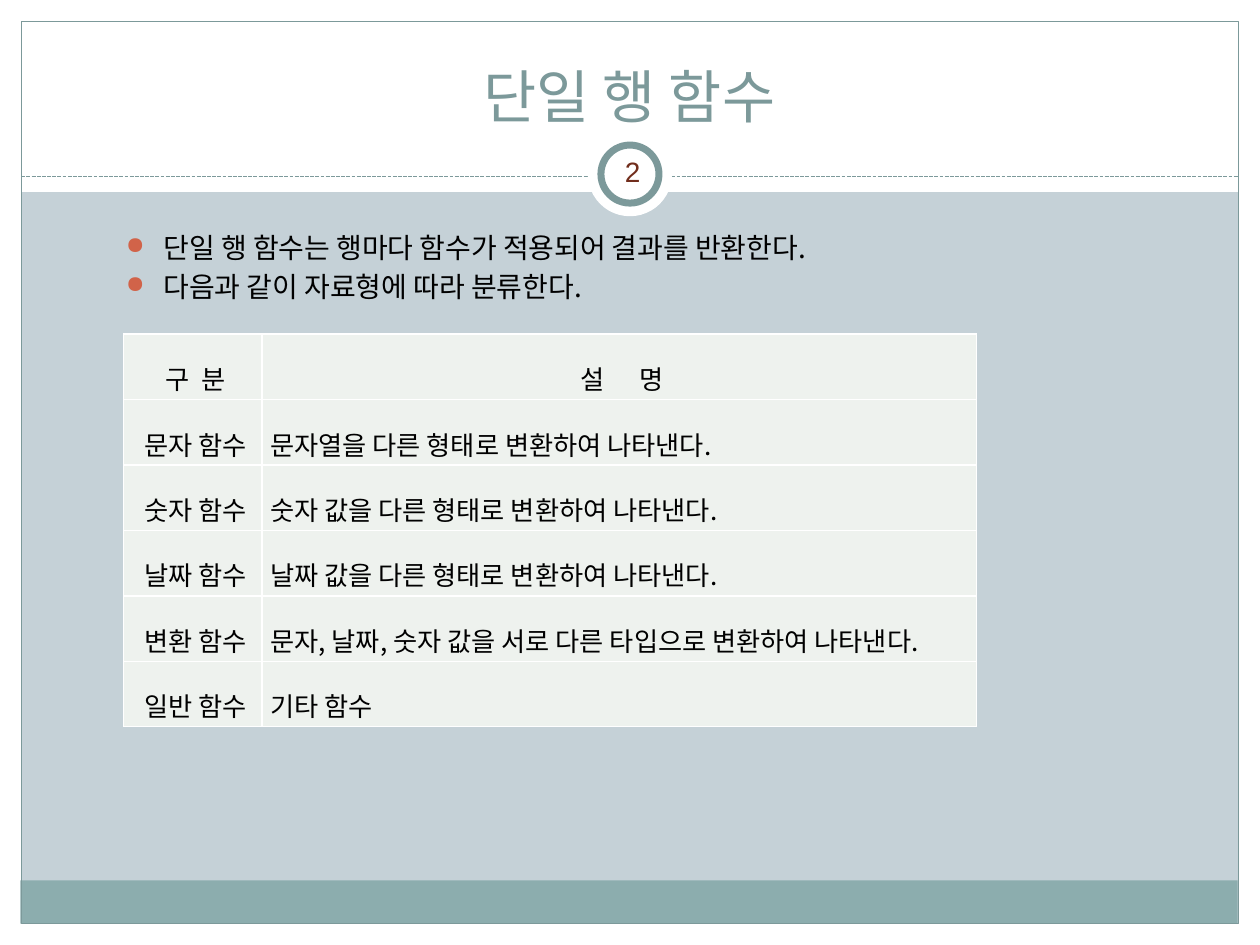
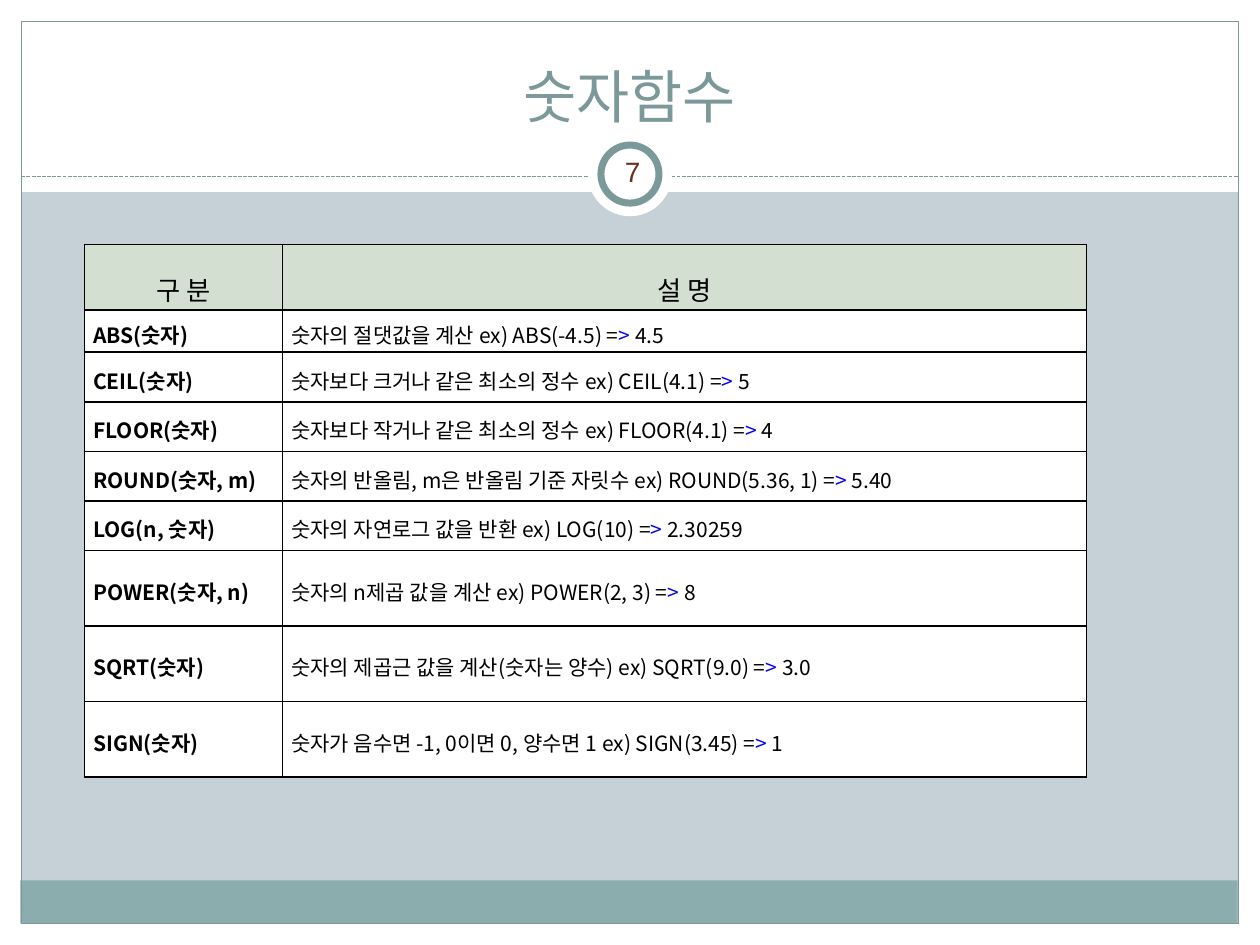
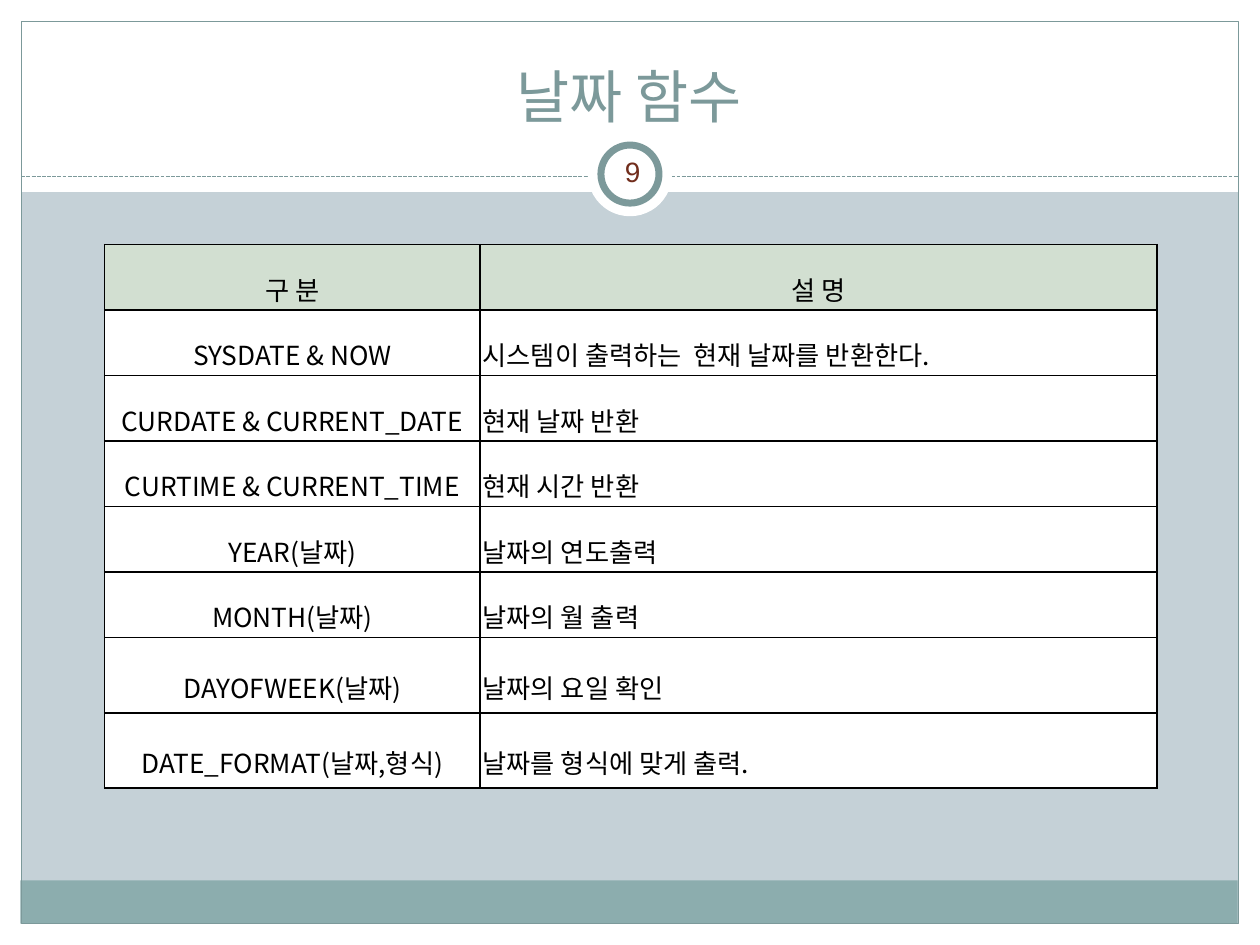
from dataclasses import dataclass, field
from typing import Any

from lxml.etree import SubElement
from pptx import Presentation
from pptx.dml.color import RGBColor
from pptx.enum.dml import MSO_LINE
from pptx.enum.shapes import MSO_CONNECTOR, MSO_SHAPE
from pptx.enum.text import MSO_ANCHOR, PP_ALIGN
from pptx.oxml.ns import qn
from pptx.util import Cm, Pt


@dataclass(frozen=True)
class Theme:
    """Colours, fonts and type sizes of the deck."""
    back: str = "C5D1D7"
    white: str = "FFFFFF"
    black: str = "000000"
    teal: str = "7C999A"
    footer: str = "8CADAE"
    number: str = "712D1C"
    bullet: str = "D16349"
    pale: str = "EEF2EE"
    header: str = "D2DFD1"
    arrow: str = "0000FF"
    title_font: str = "Calibri"
    number_font: str = "Arial"
    text_font: str = "Noto Sans CJK KR"
    title_size: float = 33
    text_size: float = 16
    cell_size: float = 15
    small_size: float = 12


T = Theme()
WIDTH, HEIGHT, MARGIN = 25.4, 19.05, 0.43
MIDDLE, RULE_Y, RING_Y = WIDTH / 2, 3.56, 3.51
TALL, ROOMY, MEDIUM, LOW = 1.32, 1.52, 1.0, 0.85


@dataclass(frozen=True)
class Run:
    """A piece of text; gap is extra letter spacing in points."""
    text: str
    color: str = T.black
    bold: bool = False
    gap: float = 0


@dataclass(frozen=True)
class CellStyle:
    """Look of one table cell; insets are left, top, right, bottom in cm."""
    fill: str = T.white
    align: PP_ALIGN = PP_ALIGN.JUSTIFY
    anchor: MSO_ANCHOR = MSO_ANCHOR.MIDDLE
    size: float = T.cell_size
    spacing: float = 1.6
    insets: tuple[float, ...] = (0.05, 0.05, 0.05, 0.05)


@dataclass(frozen=True)
class TableData:
    """A two-column table: header row first, then body rows."""
    left: float
    top: float
    cols: tuple[float, float]
    heights: list[float]
    rows: list[tuple[list[Run], list[Run]]]
    header: CellStyle
    body: tuple[CellStyle, CellStyle]
    border: str = T.black


@dataclass(frozen=True)
class Page:
    """Content of one slide."""
    number: int
    title: str
    table: TableData
    bullets: list[str] = field(default_factory=list)


def rgb(color: str) -> RGBColor:
    """Turn a hex string into a colour."""
    return RGBColor.from_string(color)


def apply(obj: Any, fmt: dict[str, Any]) -> None:
    """Set every attribute named in fmt on obj."""
    for name, value in fmt.items():
        setattr(obj, name, value)


def insets(values: tuple[float, ...]) -> dict[str, Any]:
    """Format values for left, top, right and bottom margins."""
    names = ("margin_left", "margin_top", "margin_right", "margin_bottom")
    return {n: Cm(v) for n, v in zip(names, values)}


def gapped(before: str, gap: float, after: str) -> list[Run]:
    """Two words whose separating space is widened by gap points."""
    return [Run(before), Run(" ", gap=gap), Run(after)]


def add_run(p: Any, run: Run, size: float, font: str = T.text_font) -> None:
    """Append a formatted run to a paragraph."""
    r = p.add_run()
    r.text = run.text
    apply(r.font, {"name": font, "size": Pt(size), "bold": run.bold})
    r.font.color.rgb = rgb(run.color)
    rPr = r.font._element
    if run.gap:
        rPr.set("spc", str(int(run.gap * 100)))
    SubElement(rPr, qn("a:ea")).set("typeface", T.text_font)


def add_box(slide: Any, kind: MSO_SHAPE, box: tuple[float, ...],
            fill: str = "", line: str = "", weight: float = 0.75) -> None:
    """Draw a preset shape with optional fill and line."""
    sp = slide.shapes.add_shape(kind, *map(Cm, box))
    sp.shadow.inherit = False
    if fill:
        sp.fill.solid()
        sp.fill.fore_color.rgb = rgb(fill)
    else:
        sp.fill.background()
    if line:
        sp.line.color.rgb = rgb(line)
        sp.line.width = Pt(weight)
    else:
        sp.line.fill.background()


def add_circle(slide: Any, size: float, line: str = "") -> None:
    """Draw a white circle around the ring centre."""
    box = (MIDDLE - size / 2, RING_Y - size / 2, size, size)
    add_box(slide, MSO_SHAPE.OVAL, box, T.white, line, 4)


def add_text(slide: Any, box: tuple[float, ...], **fmt: Any) -> Any:
    """Add a wrapping text box and return its text frame."""
    tf = slide.shapes.add_textbox(*map(Cm, box)).text_frame
    apply(tf, {"word_wrap": True, **fmt})
    return tf


def add_frame(slide: Any, page: Page) -> None:
    """Draw the background, bands, ring, page number and title."""
    slide.background.fill.solid()
    slide.background.fill.fore_color.rgb = rgb(T.back)
    inner = WIDTH - 2 * MARGIN
    for box, fill, line in (
        ((0, HEIGHT - MARGIN, WIDTH, MARGIN), T.white, ""),
        ((0, 0, WIDTH, 3.87), T.white, ""),
        ((0, 0, MARGIN, HEIGHT), T.white, ""),
        ((WIDTH - MARGIN, 0, MARGIN, HEIGHT), T.white, ""),
        ((0.41, 17.75, inner, 0.87), T.footer, ""),
        ((MARGIN, MARGIN, inner, HEIGHT - 2 * MARGIN), "", T.teal),
    ):
        add_box(slide, MSO_SHAPE.RECTANGLE, box, fill, line)
    ends = map(Cm, (MARGIN, RULE_Y, WIDTH - MARGIN, RULE_Y))
    rule = slide.shapes.add_connector(MSO_CONNECTOR.STRAIGHT, *ends)
    rule.line.color.rgb = rgb(T.teal)
    apply(rule.line, {"width": Pt(0.75), "dash_style": MSO_LINE.SQUARE_DOT})
    SubElement(rule._element.spPr, qn("a:effectLst"))
    add_circle(slide, 1.7)
    add_circle(slide, 1.17, T.teal)

    tf = add_text(slide, (12.12, 2.84, 1.27, 1.22),
                  vertical_anchor=MSO_ANCHOR.MIDDLE, **insets((0.13,) * 4))
    p = tf.paragraphs[0]
    p.alignment = PP_ALIGN.CENTER
    add_run(p, Run(str(page.number), T.number), T.text_size, T.number_font)

    tf = add_text(slide, (0.84, 0.64, 23.7, 2.11),
                  vertical_anchor=MSO_ANCHOR.BOTTOM)
    p = tf.paragraphs[0]
    p.alignment = PP_ALIGN.CENTER
    add_run(p, Run(page.title, T.teal), T.title_size, T.title_font)


def add_bullets(slide: Any, lines: list[str]) -> None:
    """Write the bulleted body text."""
    tf = add_text(slide, (2.29, 4.52, 20.83, 12.8))
    for i, line in enumerate(lines):
        p = tf.add_paragraph() if i else tf.paragraphs[0]
        p.space_before = Pt(0.2 * T.text_size)
        pPr = p._p.get_or_add_pPr()
        pPr.set("marL", str(Cm(0.76)))
        pPr.set("indent", str(-Cm(0.76)))
        color = SubElement(pPr, qn("a:buClr"))
        SubElement(color, qn("a:srgbClr")).set("val", T.bullet)
        SubElement(pPr, qn("a:buSzPct")).set("val", "85000")
        SubElement(pPr, qn("a:buChar")).set("char", "●")
        add_run(p, Run(line), T.text_size)


def set_borders(cell: Any, color: str) -> None:
    """Give a cell four solid 1 pt borders."""
    tcPr = cell._tc.get_or_add_tcPr()
    for side in ("lnL", "lnR", "lnT", "lnB"):
        ln = SubElement(tcPr, qn(f"a:{side}"))
        ln.set("w", str(Pt(1)))
        fill = SubElement(ln, qn("a:solidFill"))
        SubElement(fill, qn("a:srgbClr")).set("val", color)


def fill_cell(cell: Any, runs: list[Run], style: CellStyle,
              border: str) -> None:
    """Write and format one table cell."""
    set_borders(cell, border)
    cell.fill.solid()
    cell.fill.fore_color.rgb = rgb(style.fill)
    apply(cell, {"vertical_anchor": style.anchor, **insets(style.insets)})
    p = cell.text_frame.paragraphs[0]
    apply(p, {"alignment": style.align, "line_spacing": style.spacing})
    for run in runs:
        add_run(p, run, style.size)


def add_table(slide: Any, data: TableData) -> None:
    """Draw a table from its data."""
    box = (data.left, data.top, sum(data.cols), sum(data.heights))
    table = slide.shapes.add_table(
        len(data.rows), len(data.cols), *map(Cm, box)).table
    apply(table, {"first_row": False, "horz_banding": False})
    for column, width in zip(table.columns, data.cols):
        column.width = Cm(width)
    for i, (height, row) in enumerate(zip(data.heights, data.rows)):
        table.rows[i].height = Cm(height)
        for j, runs in enumerate(row):
            style = data.body[j] if i else data.header
            fill_cell(table.cell(i, j), runs, style, data.border)


def plain(*rows: tuple[str, str]) -> list[tuple[list[Run], list[Run]]]:
    """Table rows of unformatted text."""
    return [([Run(a)], [Run(b)]) for a, b in rows]


def example(name: str, text: str, result: str) -> tuple[list[Run], list[Run]]:
    """Table row of a function, its description and an example result."""
    return ([Run(name, bold=True)],
            [Run(f"{text} ="), Run("> ", T.arrow), Run(result)])


HEADER = CellStyle(T.header, PP_ALIGN.CENTER, MSO_ANCHOR.TOP)
HEADINGS = plain(("구 분", "설 명"))
PALE_INSETS = (0.17, 0.05, 0.05, 0.05)
PALE_CENTER = CellStyle(T.pale, PP_ALIGN.CENTER, MSO_ANCHOR.TOP,
                        insets=PALE_INSETS)
PALE_TEXT = CellStyle(T.pale, anchor=MSO_ANCHOR.TOP, insets=PALE_INSETS)
SMALL = CellStyle(size=T.small_size, spacing=1.2,
                  insets=(0.18, 0.05, 0.18, 0.05))

kinds = TableData(
    2.49, 6.73, (2.79, 14.4), [TALL] * 6,
    [(gapped("구", 3.4, "분"), gapped("설", 17, "명"))] + plain(
        ("문자 함수", "문자열을 다른 형태로 변환하여 나타낸다."),
        ("숫자 함수", "숫자 값을 다른 형태로 변환하여 나타낸다."),
        ("날짜 함수", "날짜 값을 다른 형태로 변환하여 나타낸다."),
        ("변환 함수", "문자, 날짜, 숫자 값을 서로 다른 타입으로 변환하여 나타낸다."),
        ("일반 함수", "기타 함수"),
    ),
    PALE_CENTER, (PALE_CENTER, PALE_TEXT), T.white)

numbers = TableData(
    1.7, 4.93, (3.99, 16.21),
    [TALL, LOW] + [MEDIUM] * 4 + [ROOMY] * 3,
    HEADINGS + [
        example("ABS(숫자)", "숫자의 절댓값을 계산 ex) ABS(-4.5)", "4.5"),
        example("CEIL(숫자)", "숫자보다 크거나 같은 최소의 정수 ex) CEIL(4.1)", "5"),
        example("FLOOR(숫자)", "숫자보다 작거나 같은 최소의 정수 ex) FLOOR(4.1)", "4"),
        example("ROUND(숫자, m)",
                "숫자의 반올림, m은 반올림 기준 자릿수 ex) ROUND(5.36, 1)", "5.40"),
        example("LOG(n, 숫자)", "숫자의 자연로그 값을 반환 ex) LOG(10)", "2.30259"),
        example("POWER(숫자, n)", "숫자의 n제곱 값을 계산 ex) POWER(2, 3)", "8"),
        example("SQRT(숫자)",
                "숫자의 제곱근 값을 계산(숫자는 양수) ex) SQRT(9.0)", "3.0"),
        example("SIGN(숫자)",
                "숫자가 음수면 -1, 0이면 0, 양수면 1 ex) SIGN(3.45)", "1"),
    ],
    HEADER, (SMALL, SMALL))

dates = TableData(
    2.11, 4.93, (7.57, 13.64), [TALL] * 6 + [ROOMY] * 2,
    HEADINGS + [
        ([Run("SYSDATE & NOW")],
         gapped("시스템이 출력하는", 3.4, "현재 날짜를 반환한다.")),
    ] + plain(
        ("CURDATE & CURRENT_DATE", "현재 날짜 반환"),
        ("CURTIME & CURRENT_TIME", "현재 시간 반환"),
        ("YEAR(날짜)", "날짜의 연도출력"),
        ("MONTH(날짜)", "날짜의 월 출력"),
        ("DAYOFWEEK(날짜)", "날짜의 요일 확인"),
        ("DATE_FORMAT(날짜,형식)", "날짜를 형식에 맞게 출력."),
    ),
    HEADER, (CellStyle(align=PP_ALIGN.CENTER), CellStyle()))

PAGES = [
    Page(2, "단일 행 함수", kinds,
         ["단일 행 함수는 행마다 함수가 적용되어 결과를 반환한다.",
          "다음과 같이 자료형에 따라 분류한다."]),
    Page(7, "숫자함수", numbers),
    Page(9, "날짜 함수", dates),
]


def main() -> None:
    """Build and save the deck."""
    prs = Presentation()
    apply(prs, {"slide_width": Cm(WIDTH), "slide_height": Cm(HEIGHT)})
    for page in PAGES:
        slide = prs.slides.add_slide(prs.slide_layouts[6])
        add_frame(slide, page)
        if page.bullets:
            add_bullets(slide, page.bullets)
        add_table(slide, page.table)
    prs.save("out.pptx")


main()
